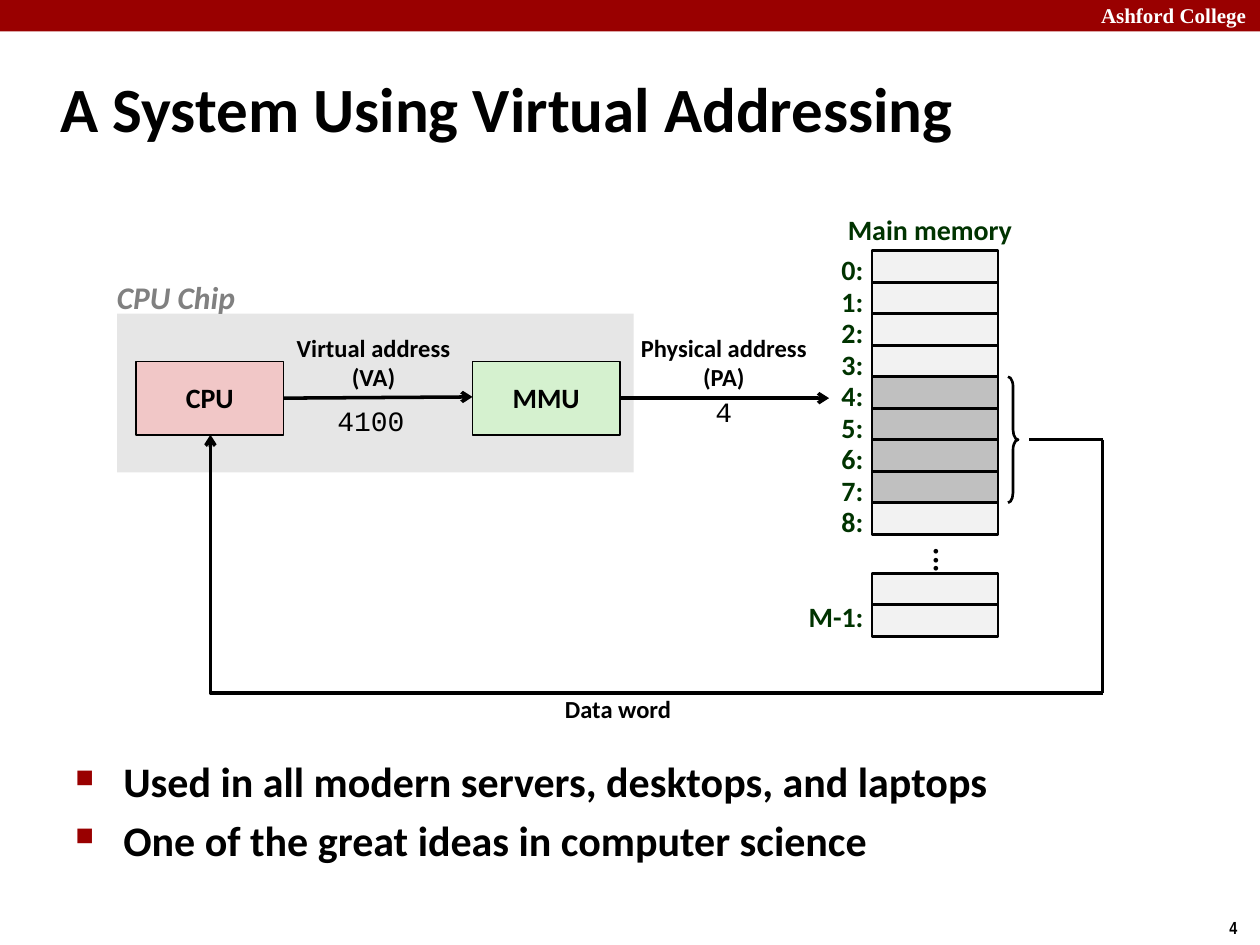
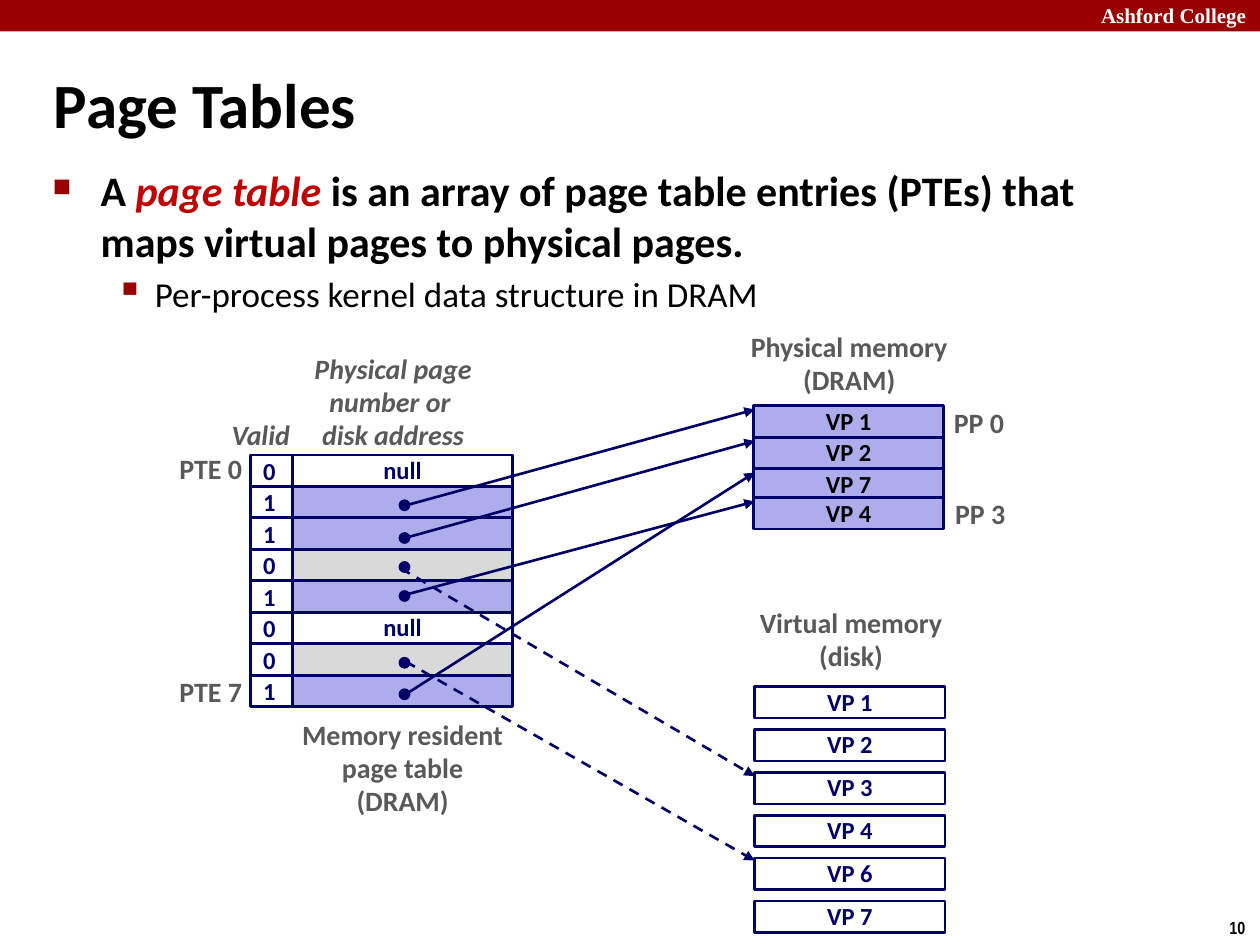
from lxml.etree import SubElement
from pptx import Presentation
from pptx.dml.color import RGBColor
from pptx.enum.dml import MSO_LINE
from pptx.enum.shapes import MSO_CONNECTOR as CONN, MSO_SHAPE as SHAPE
from pptx.enum.text import MSO_ANCHOR as ANCHOR, PP_ALIGN as ALIGN
from pptx.oxml.ns import qn
from pptx.util import Inches, Pt

BLACK = RGBColor(0x00, 0x00, 0x00)
WHITE = RGBColor(0xFF, 0xFF, 0xFF)
BAND_RED = RGBColor(0x99, 0x00, 0x00)
TERM_RED = RGBColor(0xC0, 0x00, 0x00)
CHIP_GREY = RGBColor(0xE6, 0xE6, 0xE6)
CHIP_LABEL = RGBColor(0x80, 0x80, 0x80)
CPU_PINK = RGBColor(0xF1, 0xC7, 0xC7)
MMU_GREEN = RGBColor(0xD5, 0xF1, 0xCF)
MEMORY_GREEN = RGBColor(0x00, 0x33, 0x00)
CELL_GREY = RGBColor(0xF2, 0xF2, 0xF2)
WORD_GREY = RGBColor(0xC0, 0xC0, 0xC0)
NAVY = RGBColor(0x00, 0x00, 0x66)
LILAC = RGBColor(0xAD, 0xAD, 0xEB)
DISK_GREY = RGBColor(0xD9, 0xD9, 0xD9)
LABEL_GREY = RGBColor(0x59, 0x59, 0x59)

ROW = 0.25
TITLE = {"size": Pt(36), "bold": True}
BULLET = {"size": Pt(24), "bold": True}
SUB_BULLET = {"size": Pt(20), "bold": False}
TERM = {"size": Pt(24), "bold": True, "italic": True}
HEADING = {"size": Pt(16), "bold": True}
ITALIC_HEADING = {"size": Pt(16), "bold": True, "italic": True}
SMALL = {"size": Pt(14), "bold": True}
CODE = {"size": Pt(16), "name": "Courier New"}


def add_run(p, text, fmt, color=BLACK):
    """Append a run, in Calibri unless the format says otherwise."""
    r = p.add_run()
    r.text = text
    for name, value in {"name": "Calibri", **fmt}.items():
        setattr(r.font, name, value)
    r.font.color.rgb = color


def fill_text(sp, text, fmt, color=BLACK, wrap=False, anchor=ANCHOR.TOP, **para):
    """Write one paragraph per line of text into a shape."""
    tf = sp.text_frame
    tf.word_wrap = wrap
    tf.vertical_anchor = anchor
    for i, line in enumerate(text.split("\n")):
        p = tf.add_paragraph() if i else tf.paragraphs[0]
        for name, value in para.items():
            setattr(p, name, value)
        add_run(p, line, fmt, color)


def add_label(s, at, text, fmt, color=BLACK, **options):
    """Add a text box."""
    sp = s.shapes.add_textbox(*map(Inches, at))
    fill_text(sp, text, fmt, color, **options)
    return sp


def add_caption(s, at, text, fmt=HEADING, color=LABEL_GREY, **options):
    """Add a centred diagram caption."""
    style = {"alignment": ALIGN.CENTER, "line_spacing": 0.98, **options}
    return add_label(s, at, text, fmt, color, **style)


def add_box(s, at, fill=None, line=None, width=1.5, kind=SHAPE.RECTANGLE):
    """Add a flat preset shape."""
    sp = s.shapes.add_shape(kind, *map(Inches, at))
    sp.shadow.inherit = False
    if fill is None:
        sp.fill.background()
    else:
        sp.fill.solid()
        sp.fill.fore_color.rgb = fill
    if line is None:
        sp.line.fill.background()
    else:
        sp.line.color.rgb = line
        sp.line.width = Pt(width)
    return sp


def add_text_box(s, at, text, fmt, fill, line, color, width=1.5):
    """Add a rectangle with centred text."""
    sp = add_box(s, at, fill, line, width)
    fill_text(sp, text, fmt, color, anchor=ANCHOR.MIDDLE,
              alignment=ALIGN.CENTER, line_spacing=0.98)


def add_line(s, start, end, color, width, head=None, dashed=False):
    """Add a straight connector, with an arrowhead at its end if asked."""
    c = s.shapes.add_connector(CONN.STRAIGHT, *map(Inches, (*start, *end)))
    c.line.color.rgb = color
    c.line.width = Pt(width)
    if dashed:
        c.line.dash_style = MSO_LINE.DASH
    if head:
        SubElement(c.line._get_or_add_ln(), qn("a:tailEnd"), type=head)
    SubElement(c._element.spPr, qn("a:effectLst"))
    return c


def add_bullet(p, runs, char, size, indent, hang, before):
    """Make a paragraph a red square bullet holding the given runs."""
    pPr = p._p.get_or_add_pPr()
    pPr.set("marL", str(Inches(indent)))
    pPr.set("indent", str(-Inches(hang)))
    p.space_before = Pt(before)
    SubElement(SubElement(pPr, qn("a:buClr")), qn("a:srgbClr"), val=str(BAND_RED))
    SubElement(pPr, qn("a:buSzPct"), val=str(size * 1000))
    SubElement(pPr, qn("a:buChar"), char=char)
    for run in runs:
        add_run(p, *run)


def add_body(s, at, bullets, sub_bullets=()):
    """Add the main bullets, then the second-level ones."""
    tf = s.shapes.add_textbox(*map(Inches, at)).text_frame
    tf.word_wrap = True
    for i, runs in enumerate(bullets):
        p = tf.add_paragraph() if i else tf.paragraphs[0]
        add_bullet(p, runs, "■", 60, 0.38, 0.38, 4.8)
    for runs in sub_bullets:
        p = tf.add_paragraph()
        p.level = 1
        add_bullet(p, runs, "▪", 110, 0.81, 0.31, 4)


def add_slide(prs, title, title_at, number):
    """Start a slide with the band, page number and title."""
    s = prs.slides.add_slide(prs.slide_layouts[6])
    add_box(s, (0, 0, 10, 0.25), BAND_RED)
    add_label(s, (8.64, -0.03, 1.43, 0.3), "Ashford College",
              {"size": Pt(12), "bold": True, "name": "Times New Roman"}, WHITE, wrap=True)
    add_label(s, (9.66, 7.23, 0.34, 0.27), number,
              {"size": Pt(10), "bold": True, "name": "Arial Narrow"})
    add_label(s, title_at, title, TITLE, wrap=True, anchor=ANCHOR.MIDDLE)
    return s


def add_main_memory(s):
    """Draw the memory cells, their addresses and the brace round a word."""
    left, top = 6.92, 1.99
    address = {"color": MEMORY_GREEN, "line_spacing": 0.88, "space_before": Pt(6)}
    add_caption(s, (6.62, 1.67, 1.52, 0.33), "Main memory", **address)
    for i in range(9):
        y = top + i * ROW
        add_box(s, (left, y, 1, ROW), WORD_GREY if 4 <= i <= 7 else CELL_GREY, BLACK)
        add_label(s, (6.58, y, 0.37, 0.33), f"{i}:", HEADING, **address)
    for y in (4.55, 4.8):
        add_box(s, (left, y, 1, ROW), CELL_GREY, BLACK)
    add_label(s, (6.32, 4.74, 0.64, 0.33), "M-1:", HEADING, **address)
    dots = add_caption(s, (7, 4.25, 1, 0.25), "...", {"size": Pt(18), "bold": True},
                       BLACK, anchor=ANCHOR.MIDDLE)
    dots.text_frame._txBody.bodyPr.set("vert", "eaVert")
    dots.text_frame.paragraphs[0]._p.pPr.set("rtl", "1")
    brace = add_box(s, (8, 2.99, 0.08, 1), None, BLACK, kind=SHAPE.RIGHT_BRACE)
    brace.adjustments[0] = 1


def add_data_return(s):
    """Draw the path of the data word from memory back to the CPU."""
    add_line(s, (8.17, 3.49), (8.75, 3.49), BLACK, 2)
    add_line(s, (8.75, 3.49), (8.75, 5.5), BLACK, 2)
    c = add_line(s, (1.67, 3.45), (8.75, 5.5), BLACK, 2, "arrow")
    spPr = c._element.spPr
    spPr.find(qn("a:prstGeom")).set("prst", "bentConnector2")
    spPr.find(qn("a:xfrm")).set("rot", "10800000")
    add_caption(s, (4.38, 5.47, 1.05, 0.33), "Data word", SMALL, BLACK, anchor=ANCHOR.MIDDLE)


def build_addressing(prs):
    """Build the slide on virtual addressing."""
    s = add_slide(prs, "A System Using Virtual Addressing", (0.38, 0.42, 9.53, 0.86), "4")
    add_box(s, (0.93, 2.49, 4.1, 1.26), CHIP_GREY)
    add_label(s, (0.83, 2.16, 1.16, 0.4), "CPU Chip",
              {"size": Pt(18), "bold": True, "italic": True}, CHIP_LABEL)
    add_main_memory(s)
    add_data_return(s)
    for x, name, fill in ((1.08, "CPU", CPU_PINK), (3.75, "MMU", MMU_GREEN)):
        add_text_box(s, (x, 2.87, 1.17, 0.58), name, HEADING, fill, BLACK, BLACK, 0.99)
    add_line(s, (2.25, 3.16), (3.75, 3.15), BLACK, 2, "arrow")
    add_line(s, (4.92, 3.16), (6.58, 3.16), BLACK, 2, "arrow")
    for x, w, text in ((2.25, 1.43, "Virtual address\n(VA)"),
                       (4.98, 1.53, "Physical address\n(PA)")):
        add_caption(s, (x, 2.6, w, 0.57), text, SMALL, BLACK, anchor=ANCHOR.MIDDLE)
    add_label(s, (2.58, 3.15, 0.74, 0.37), "4100", CODE)
    add_label(s, (5.58, 3.08, 0.34, 0.37), "4", CODE)
    add_body(s, (0.5, 5.95, 9.09, 1.38), [
        [("Used in all modern servers, desktops, and laptops", BULLET)],
        [("One of the great ideas in computer science", BULLET)]])


def add_page_table(s):
    """Draw the page table entries with their valid bits."""
    fills = {"null": WHITE, "disk": DISK_GREY, "memory": LILAC}
    entries = ("null", "memory", "memory", "disk", "memory", "null", "disk", "memory")
    for i, place in enumerate(entries):
        y = 3.61 + i * ROW
        add_text_box(s, (2.32, y, 1.75, ROW), "null" if place == "null" else "",
                     SMALL, fills[place], NAVY, NAVY)
        add_box(s, (1.99, y, 0.33, ROW), None, NAVY)
        add_label(s, (1.99, y - 0.03, 0.31, 0.33), "1" if place == "memory" else "0",
                  SMALL, NAVY, line_spacing=0.98)
    add_caption(s, (1.74, 3.28, 0.75, 0.37), "Valid", ITALIC_HEADING,
                wrap=True, alignment=ALIGN.LEFT)
    add_caption(s, (2.39, 2.75, 1.46, 0.89), "Physical page\nnumber or \ndisk address",
                ITALIC_HEADING, anchor=ANCHOR.MIDDLE)
    add_caption(s, (2.27, 5.66, 1.85, 0.89), "Memory resident\npage table\n(DRAM)")
    for y, name in ((3.54, "PTE 0"), (5.31, "PTE 7")):
        add_caption(s, (1.32, y, 0.7, 0.37), name, anchor=ANCHOR.MIDDLE, alignment=ALIGN.RIGHT)


def add_memories(s):
    """Draw the pages in physical memory and on disk."""
    add_caption(s, (5.85, 2.58, 1.78, 0.63), "Physical memory\n(DRAM)")
    for y, page in ((3.22, 1), (3.47, 2), (3.72, 7), (3.95, 4)):
        add_text_box(s, (5.98, y, 1.51, ROW), f"VP {page}", SMALL, LILAC, NAVY, BLACK)
    for x, y, name in ((7.47, 3.18, "PP 0"), (7.48, 3.9, "PP 3")):
        add_caption(s, (x, y, 0.6, 0.37), name, anchor=ANCHOR.MIDDLE)
    add_caption(s, (5.91, 4.77, 1.69, 0.63), "Virtual memory\n(disk)")
    for i, page in enumerate((1, 2, 3, 4, 6, 7)):
        add_text_box(s, (5.99, 5.45 + i * 0.34, 1.51, ROW), f"VP {page}",
                     SMALL, WHITE, NAVY, NAVY)


def add_pointers(s):
    """Draw a dot and an arrow from each mapped entry to its page."""
    pointers = ((3.97, 3.19, 4.02, 3.25, False), (4.23, 3.25, 4.26, 3.5, False),
                (4.46, 3.18, 4.51, 6.16, True), (4.69, 3.22, 4.72, 3.98, False),
                (5.22, 3.22, 5.25, 6.83, True), (5.47, 3.22, 5.51, 3.75, False))
    for dot_top, x, y, page_y, on_disk in pointers:
        add_box(s, (3.17, dot_top, 0.08, 0.08), NAVY, NAVY, 0.99, SHAPE.OVAL)
        add_line(s, (x, y), (5.99, page_y), NAVY, 1.5, "triangle", on_disk)


def build_page_tables(prs):
    """Build the slide on page tables."""
    s = add_slide(prs, "Page Tables", (0.33, 0.39, 9.06, 0.86), "10")
    add_body(s, (0.32, 1.26, 9.09, 1.41), [[
        ("A ", BULLET), ("page table ", TERM, TERM_RED),
        ("is an array of page table entries (PTEs) that maps virtual pages "
         "to physical pages.", BULLET)]],
        [[("Per-process kernel data structure in DRAM", SUB_BULLET)]])
    add_page_table(s)
    add_memories(s)
    add_pointers(s)


def main():
    """Build and save the presentation."""
    prs = Presentation()
    prs.slide_width, prs.slide_height = Inches(10), Inches(7.5)
    build_addressing(prs)
    build_page_tables(prs)
    prs.save("out.pptx")


main()
